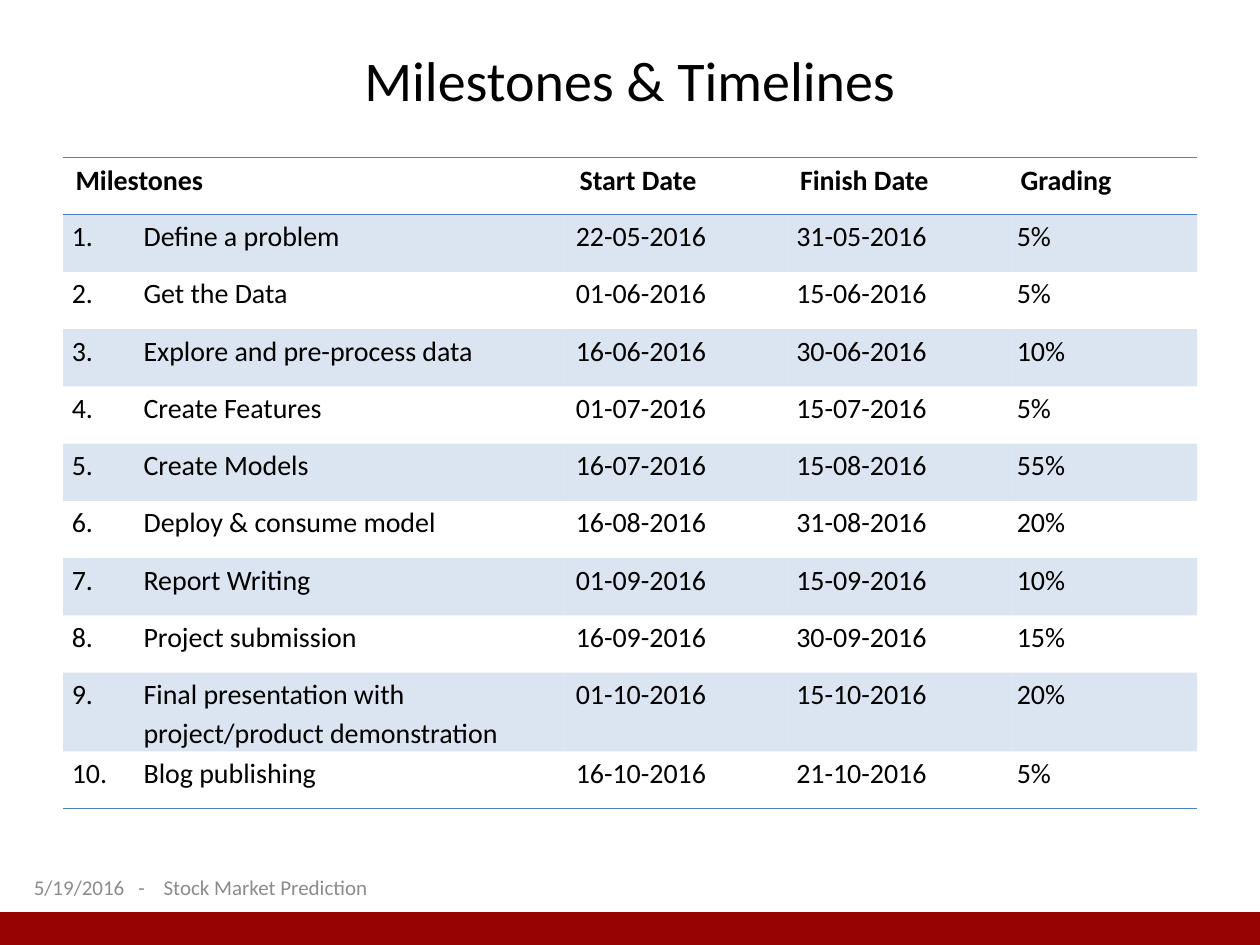
import pptx
import pptx.util
import pptx.dml.color
import pptx.enum.shapes
import pptx.enum.text
import pptx.oxml
import pptx.oxml.ns
from lxml import etree

Inches, Pt = pptx.util.Inches, pptx.util.Pt
RGB = pptx.dml.color.RGBColor
ALIGN = pptx.enum.text.PP_ALIGN
MIDDLE = pptx.enum.text.MSO_ANCHOR.MIDDLE
qn = pptx.oxml.ns.qn

# Content
TITLE = "Milestones & Timelines"
HEADS = ["Milestones", "Start Date", "Finish Date", "Grading"]
STEPS = [
    ("Define a problem", "22-05-2016", "31-05-2016", "5%"),
    ("Get the Data", "01-06-2016", "15-06-2016", "5%"),
    ("Explore and pre-process data", "16-06-2016", "30-06-2016", "10%"),
    ("Create Features", "01-07-2016", "15-07-2016", "5%"),
    ("Create Models", "16-07-2016", "15-08-2016", "55%"),
    ("Deploy & consume model", "16-08-2016", "31-08-2016", "20%"),
    ("Report Writing", "01-09-2016", "15-09-2016", "10%"),
    ("Project submission", "16-09-2016", "30-09-2016", "15%"),
    ("Final presentation with \v\tproject/product demonstration",
     "01-10-2016", "15-10-2016", "20%"),
    ("Blog publishing", "16-10-2016", "21-10-2016", "5%"),
]
FOOTER = "5/19/2016\t-\tStock Market Prediction"

# Look
FONT = "Calibri"
BLACK = RGB(0x00, 0x00, 0x00)
BLUE = RGB(0x4F, 0x81, 0xBD)
RED = RGB(0x97, 0x03, 0x03)
GRAY = RGB(0x8C, 0x8C, 0x8C)
WIDTHS = [4, 1.75, 1.75, 1.5]
PLAIN = "{2D5ABB26-0587-4C30-8999-92F81FD0307C}"  # no style, no grid


def style(para, size, color, bold=False):
    font = para.font
    font.name, font.size, font.bold = FONT, Pt(size), bold
    font.color.rgb = color


def set_tabs(para, *stops):
    props = para._p.get_or_add_pPr()
    tabs = pptx.oxml.parse_xml(
        f'<a:tabLst {pptx.oxml.ns.nsdecls("a")}/>')
    for stop in stops:
        etree.SubElement(tabs, qn("a:tab"), pos=str(Inches(stop)), algn="l")
    # Tab stops come before the default run properties
    run = props.find(qn("a:defRPr"))
    if run is None:
        props.append(tabs)
    else:
        run.addprevious(tabs)


def add_rule(cell, side):
    line = pptx.oxml.parse_xml(
        f'<a:{side} {pptx.oxml.ns.nsdecls("a")} w="{Pt(1)}"><a:solidFill>'
        f'<a:srgbClr val="{BLUE}"/></a:solidFill></a:{side}>')
    props = cell._tc.get_or_add_tcPr()
    rules = props.findall(qn("a:lnT"))
    props.insert(len(rules), line)


def tint(cell, percent):
    cell.fill.solid()
    cell.fill.fore_color.rgb = BLUE
    color = cell._tc.tcPr.find(".//" + qn("a:srgbClr"))
    etree.SubElement(color, qn("a:alpha"), val=str(percent * 1000))


def add_grid(slide):
    rows = [HEADS] + [(f"{n}.\t{step[0]}", *step[1:])
                      for n, step in enumerate(STEPS, 1)]
    frame = slide.shapes.add_table(
        len(rows), len(HEADS), Inches(0.5), Inches(1.25), Inches(9), Inches(5))
    table = frame.table
    table._tbl.tblPr.find(qn("a:tableStyleId")).text = PLAIN
    for col, width in zip(table.columns, WIDTHS):
        col.width = Inches(width)
    for r, row in enumerate(rows):
        for c, text in enumerate(row):
            cell = table.cell(r, c)
            cell.text = text
            para = cell.text_frame.paragraphs[0]
            style(para, 16, BLACK, bold=r == 0)
            if r % 2:
                tint(cell, 20)
            else:
                cell.fill.background()
            if r == 0:
                add_rule(cell, "lnT")
            else:
                cell.margin_left = cell.margin_right = Inches(0.07)
                cell.margin_top = cell.margin_bottom = 0
                para.line_spacing = 1.15
                if c == 0:
                    set_tabs(para, 0.57)
            if r in (0, len(STEPS)):
                add_rule(cell, "lnB")


def main():
    deck = pptx.Presentation()
    deck.slide_width, deck.slide_height = Inches(10), Inches(7.5)
    slide = deck.slides.add_slide(deck.slide_layouts[5])

    # Title
    title = slide.shapes.title
    title.left, title.top = Inches(0.5), 0
    title.width, title.height = Inches(9), Inches(1.25)
    title.text_frame.text = TITLE
    title.text_frame.vertical_anchor = MIDDLE
    head = title.text_frame.paragraphs[0]
    head.alignment = ALIGN.CENTER
    style(head, 32, BLACK)

    # Milestone table
    add_grid(slide)

    # Bottom bar
    bar = slide.shapes.add_shape(
        pptx.enum.shapes.MSO_SHAPE.RECTANGLE,
        0, Inches(7.25), Inches(10), Inches(0.25))
    bar.shadow.inherit = False
    bar.fill.solid()
    bar.fill.fore_color.rgb = RED
    bar.line.color.rgb = RED
    bar.line.width = Pt(2)

    # Footer
    box = slide.shapes.add_textbox(
        Inches(0.17), Inches(6.83), Inches(7.17), Inches(0.42))
    box.text_frame.word_wrap = True
    box.text_frame.vertical_anchor = MIDDLE
    box.text_frame.text = FOOTER
    note = box.text_frame.paragraphs[0]
    note.alignment = ALIGN.JUSTIFY
    style(note, 12, GRAY)
    set_tabs(note, 0.83, 1.03)

    deck.save("out.pptx")


if __name__ == "__main__":
    main()
